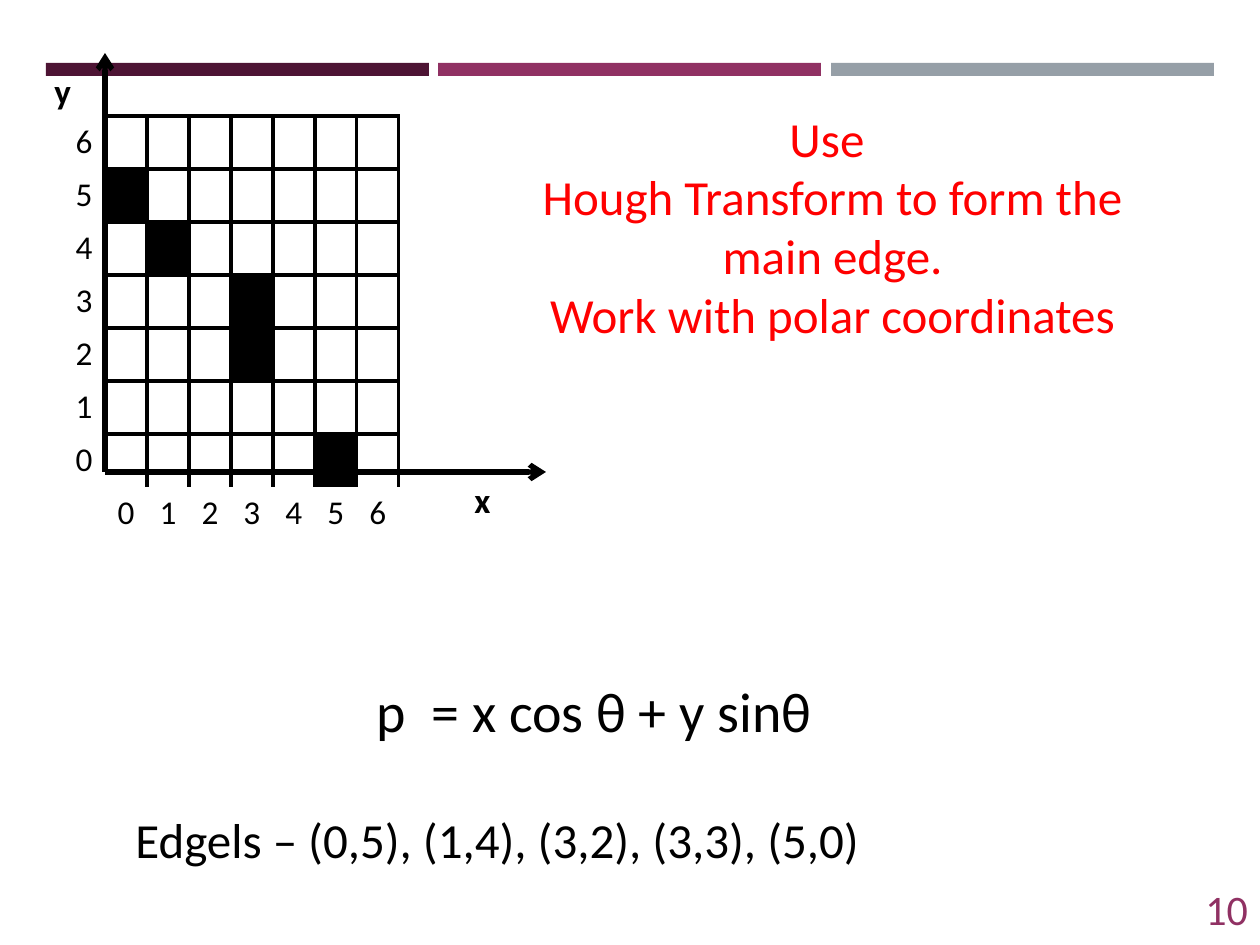
from lxml import etree
from pptx import Presentation
from pptx import util as u
from pptx.dml.color import RGBColor
from pptx.enum import shapes, text
from pptx.oxml.ns import qn

# Content
COLORS = {"plum": "4D1434", "magenta": "903163", "grey": "969FA7",
          "black": "000000", "red": "FF0000"}
FONT = "Calibri"
BARS = [("plum", 46), ("magenta", 438), ("grey", 831)]
N = 7  # grid cells a side
EDGELS = [(0, 5), (1, 4), (3, 2), (3, 3), (5, 0)]
TABLE = (63, 116, 336, 420)
AXES = [(105, 472, 546, 472), (105, 472, 105, 53)]
L, C, R = text.PP_ALIGN.LEFT, text.PP_ALIGN.CENTER, text.PP_ALIGN.RIGHT
# box, paragraphs (each a list of lines), size, colour, bold, alignment
TEXTS = [
    ((462, 472, 95, 55), [["x"]], 20, "black", True, L),
    ((42, 63, 95, 55), [["y"]], 20, "black", True, L),
    ((491, 102, 683, 251),
     [["Use ", "Hough Transform to form the main edge."],
      ["Work with polar coordinates"]], 28, "red", False, C),
    ((123, 803, 1029, 72), [["Edgels – (0,5), (1,4), (3,2), (3,3), (5,0)"]],
     28, "black", False, L),
    ((253, 670, 683, 81), [["p  = x cos θ + y sinθ"]], 32, "black", False, C),
    ((1176, 873, 84, 72), [["10"]], 24, "magenta", False, R),
]


def px(n):
    return u.Emu(round(n * 914400 / 126))


def rgb(name):
    return RGBColor.from_string(COLORS[name])


def add_run(p, words, size, color, bold=False):
    r = p.add_run()
    r.text = words
    r.font.name, r.font.size, r.font.bold = FONT, u.Pt(size), bold
    r.font.color.rgb = rgb(color)


def set_borders(cell, sides):
    tcPr = cell._tc.get_or_add_tcPr()
    for side in "LRTB":
        ln = etree.SubElement(tcPr, qn("a:ln" + side), w=str(u.Pt(2.25)))
        if side in sides:
            fill = etree.SubElement(ln, qn("a:solidFill"))
            etree.SubElement(fill, qn("a:srgbClr"), val=COLORS["black"])
        else:
            etree.SubElement(ln, qn("a:noFill"))


prs = Presentation()
prs.slide_width, prs.slide_height = px(1260), px(945)
s = prs.slides.add_slide(prs.slide_layouts[6])

# Header bars
for color, left in BARS:
    bar = s.shapes.add_shape(shapes.MSO_SHAPE.RECTANGLE,
                             px(left), px(63), px(383), px(13))
    bar.shadow.inherit = False
    bar.fill.solid()
    bar.fill.fore_color.rgb = rgb(color)
    bar.line.fill.background()

# Pixel grid, with y labels in the first column and x labels in the last row
table = s.shapes.add_table(N + 1, N + 1, *map(px, TABLE)).table
table.first_row = table.horz_banding = False
for i in range(N + 1):
    table.columns[i].width = px(TABLE[2] / (N + 1))
    table.rows[i].height = px(TABLE[3] / (N + 1))
for row in range(N + 1):
    for col in range(N + 1):
        cell = table.cell(row, col)
        cell.margin_left = cell.margin_right = 0
        cell.vertical_anchor = text.MSO_ANCHOR.MIDDLE
        x, y = col - 1, N - 1 - row
        in_grid = x >= 0 and y >= 0
        sides = "TR" + ("L" if x > 0 else "") + ("B" if y > 0 else "")
        set_borders(cell, sides if in_grid else "")
        if (x, y) in EDGELS:
            cell.fill.solid()
            cell.fill.fore_color.rgb = rgb("black")
        else:
            cell.fill.background()
        if not in_grid and (x, y) != (-1, -1):
            p = cell.text_frame.paragraphs[0]
            p.alignment = C
            add_run(p, str(max(x, y)), 19, "black")

# Axes
for ends in AXES:
    axis = s.shapes.add_connector(shapes.MSO_CONNECTOR.STRAIGHT, *map(px, ends))
    axis.line.color.rgb = rgb("black")
    axis.line.width = u.Pt(3)
    etree.SubElement(axis.line._get_or_add_ln(), qn("a:tailEnd"), type="arrow")
    etree.SubElement(axis._element.spPr, qn("a:effectLst"))

# Axis names, task, edgels, formula and slide number
for box, paragraphs, size, color, bold, align in TEXTS:
    tf = s.shapes.add_textbox(*map(px, box)).text_frame
    tf.word_wrap = True
    for i, lines in enumerate(paragraphs):
        p = tf.add_paragraph() if i else tf.paragraphs[0]
        p.alignment = align
        for j, line in enumerate(lines):
            if j:
                p.add_line_break()
            add_run(p, line, size, color, bold)
    if align == R:
        tf.vertical_anchor = text.MSO_ANCHOR.MIDDLE
        tf.margin_right = px(12)

prs.save("out.pptx")
